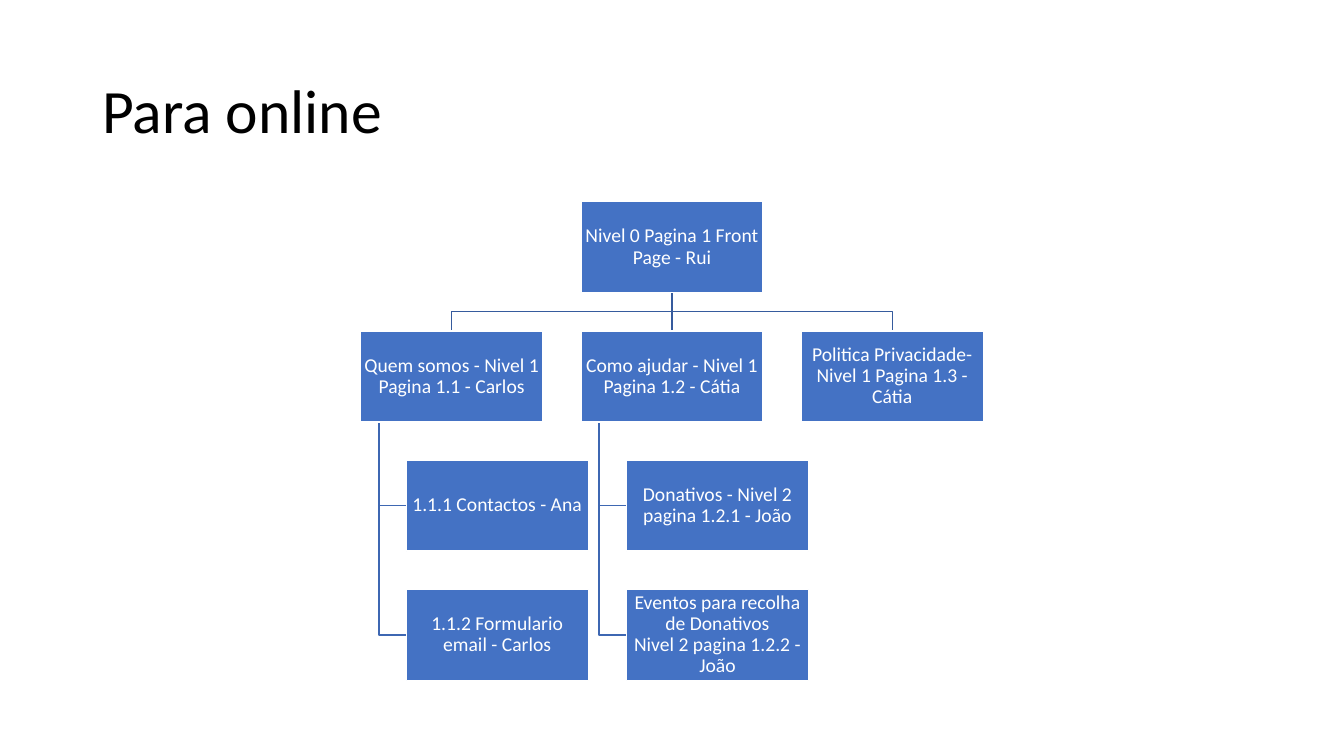
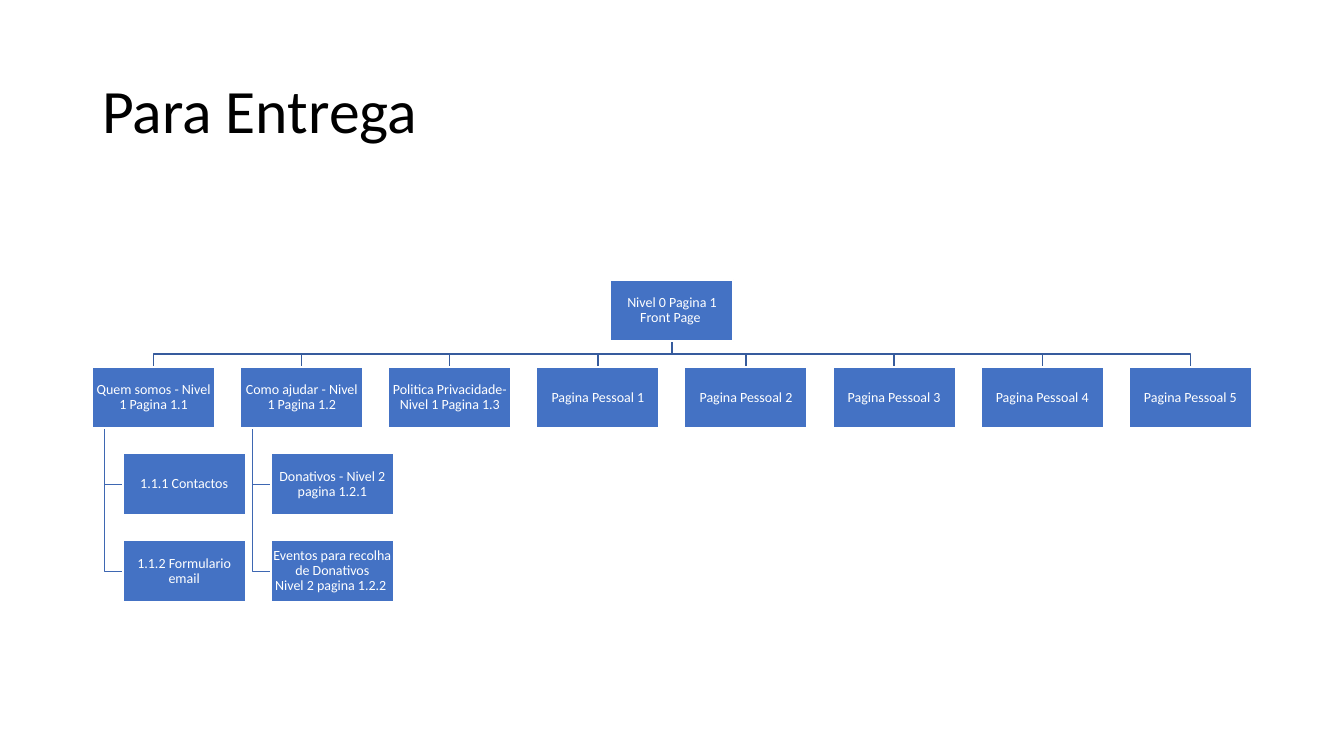
"""Build two site-map slides, each with a title and a tree of pages."""
from lxml import etree
from pptx import Presentation
from pptx.dml.color import RGBColor
from pptx.enum.shapes import MSO_CONNECTOR as CONN, MSO_SHAPE as SHAPE
from pptx.enum.text import MSO_ANCHOR as ANCHOR, PP_ALIGN as ALIGN
from pptx.oxml.ns import qn
from pptx.util import Pt

FONT = "Calibri"
BLACK, WHITE, BLUE = "000000", "FFFFFF", "4472C4"
TRUNK, BRANCH = "365B9D", "3E67B2"
TITLE_BOX = (66, 28.75, 828, 104.38)
TREE_BOX = (66, 144, 828, 342)

# Tree proportions, as shares of the width of one page box
HEIGHT, GAP, ROW, INDENT, SPINE = 0.5, 0.21, 0.71, 0.25, 0.1

ONLINE = ("Nivel 0 Pagina 1 Front Page - Rui", [
    ("Quem somos - Nivel 1 Pagina 1.1 - Carlos",
     ["1.1.1 Contactos - Ana", "1.1.2 Formulario email - Carlos"]),
    ("Como ajudar - Nivel 1 Pagina 1.2 - Cátia",
     ["Donativos - Nivel 2 pagina 1.2.1 - João",
      "Eventos para recolha de Donativos\vNivel 2 pagina 1.2.2 - João"]),
    ("Politica Privacidade- Nivel 1 Pagina 1.3 - Cátia", []),
])
ENTREGA = ("Nivel 0 Pagina 1 Front Page ", [
    ("Quem somos - Nivel 1 Pagina 1.1",
     ["1.1.1 Contactos", "1.1.2 Formulario email"]),
    ("Como ajudar - Nivel 1 Pagina 1.2",
     ["Donativos - Nivel 2 pagina 1.2.1",
      "Eventos para recolha de Donativos\vNivel 2 pagina 1.2.2 "]),
    ("Politica Privacidade- Nivel 1 Pagina 1.3", []),
    *[(f"Pagina Pessoal {i}", []) for i in range(1, 6)],
])


def rgb(color):
    """Turn a hex string into a colour."""
    return RGBColor.from_string(color)


def set_text(sp, text, size, color, align, inset_x, inset_y):
    """Write middle-anchored, wrapped text into a shape."""
    tf = sp.text_frame
    tf.text = text
    tf.word_wrap = True
    tf.vertical_anchor = ANCHOR.MIDDLE
    tf.margin_left = tf.margin_right = Pt(inset_x)
    tf.margin_top = tf.margin_bottom = Pt(inset_y)
    p = tf.paragraphs[0]
    p.alignment = align
    p.line_spacing = 0.9
    for r in p.runs:
        r.font.name = FONT
        r.font.size = Pt(size)
        r.font.color.rgb = rgb(color)


def add_title(slide, text, box):
    """Add the slide title in its box."""
    sp = slide.shapes.add_textbox(*map(Pt, box))
    set_text(sp, text, 44, BLACK, ALIGN.LEFT, 7.2, 3.6)


def add_link(slide, points, color):
    """Join two pages by a straight line or an elbow through the points."""
    points = [(Pt(x), Pt(y)) for x, y in points]
    start, end = points[0], points[-1]
    if abs(start[0] - end[0]) < Pt(1):
        sp = slide.shapes.add_connector(CONN.STRAIGHT, *start, *end)
        etree.SubElement(sp._element.spPr, qn("a:effectLst"))
    else:
        outline = slide.shapes.build_freeform(*start)
        outline.add_line_segments(points[1:], close=False)
        sp = outline.convert_to_shape()
        sp.shadow.inherit = False
        sp.fill.background()
    sp.line.color.rgb = rgb(color)
    sp.line.width = Pt(1)


def add_page(slide, text, x, y, w, size):
    """Add one page box of the tree."""
    sp = slide.shapes.add_shape(SHAPE.RECTANGLE, *map(Pt, (x, y, w, w * HEIGHT)))
    sp.shadow.inherit = False
    sp.fill.solid()
    sp.fill.fore_color.rgb = rgb(BLUE)
    sp.line.color.rgb = rgb(WHITE)
    sp.line.width = Pt(1)
    set_text(sp, text, size, WHITE, ALIGN.CENTER, size / 16, size / 16)


def add_branch(slide, pages, x, y, w, size):
    """Hang sub-pages from a spine under the page at x, y."""
    spine, left = x + SPINE * w, x + INDENT * w
    for row, text in enumerate(pages, 1):
        top = y + ROW * w * row
        middle = top + HEIGHT * w / 2
        add_link(slide, [(spine, y + HEIGHT * w), (spine, middle), (left, middle)], BRANCH)
        add_page(slide, text, left, top, w, size)


def add_tree(slide, tree, box, size):
    """Fit the page tree to a box and centre it there."""
    root, sections = tree
    left, top, width, height = box
    n = len(sections)
    levels = 1 + max(len(pages) for _, pages in sections)
    col_share, row_share = n + (n - 1) * GAP, levels * ROW + HEIGHT
    w = min(width / col_share, height / row_share)
    center = left + width / 2
    x0 = center - w * col_share / 2
    y0 = top + (height - w * row_share) / 2
    y1 = y0 + ROW * w
    root_end = y0 + HEIGHT * w
    bus = (root_end + y1) / 2

    for i, (text, pages) in enumerate(sections):
        x = x0 + i * w * (1 + GAP)
        drop = x + w / 2
        add_link(slide, [(center, root_end), (center, bus), (drop, bus), (drop, y1)], TRUNK)
        add_branch(slide, pages, x, y1, w, size)
        add_page(slide, text, x, y1, w, size)
    add_page(slide, root, center - w / 2, y0, w, size)


def add_map_slide(prs, title, tree, size):
    """Add a slide with a title and a page tree."""
    slide = prs.slides.add_slide(prs.slide_layouts[6])
    add_title(slide, title, TITLE_BOX)
    add_tree(slide, tree, TREE_BOX, size)


def main():
    """Build and save the presentation."""
    prs = Presentation()
    prs.slide_width, prs.slide_height = Pt(960), Pt(540)
    add_map_slide(prs, "Para online", ONLINE, 14)
    add_map_slide(prs, "Para Entrega", ENTREGA, 10)
    prs.save("out.pptx")


if __name__ == "__main__":
    main()
